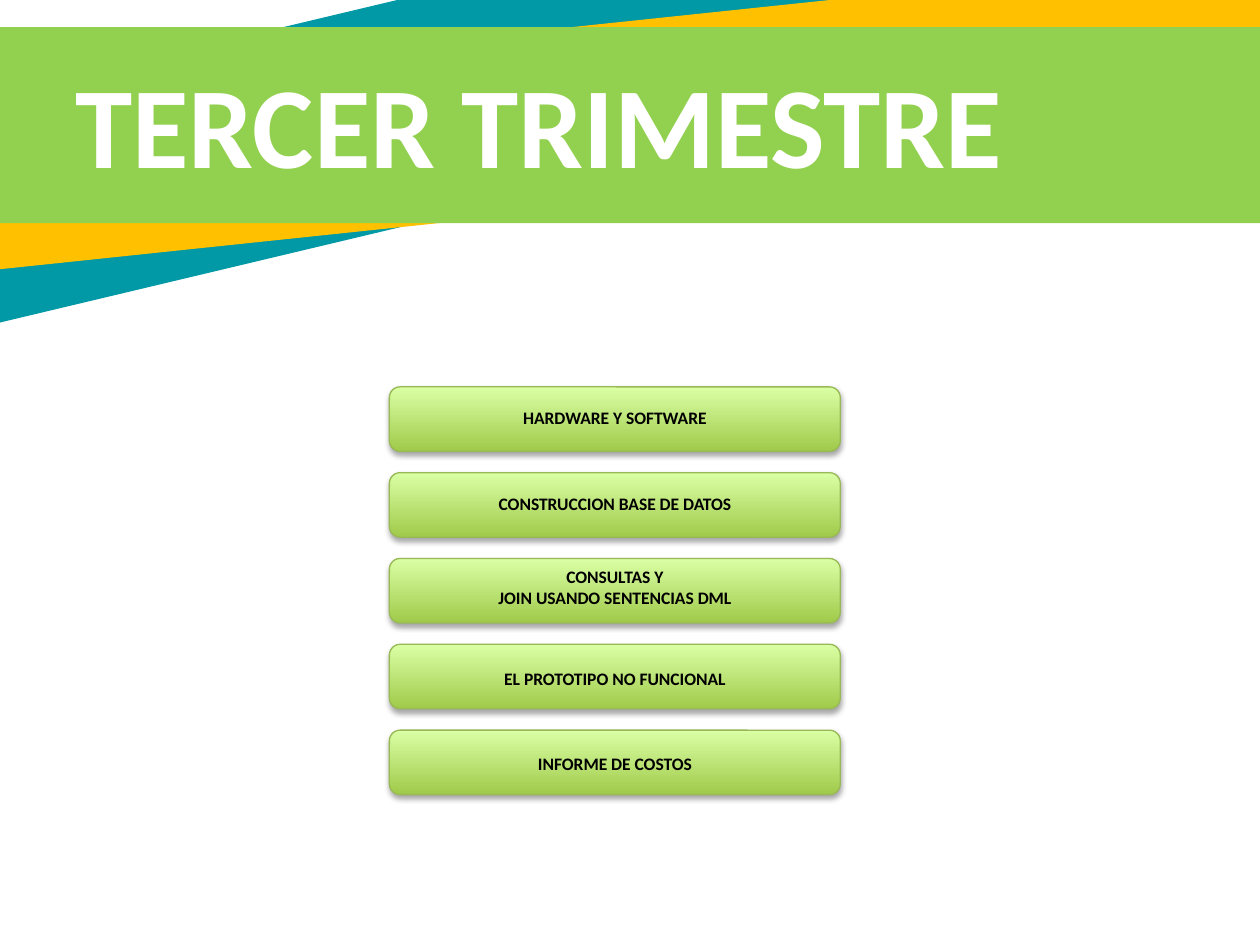
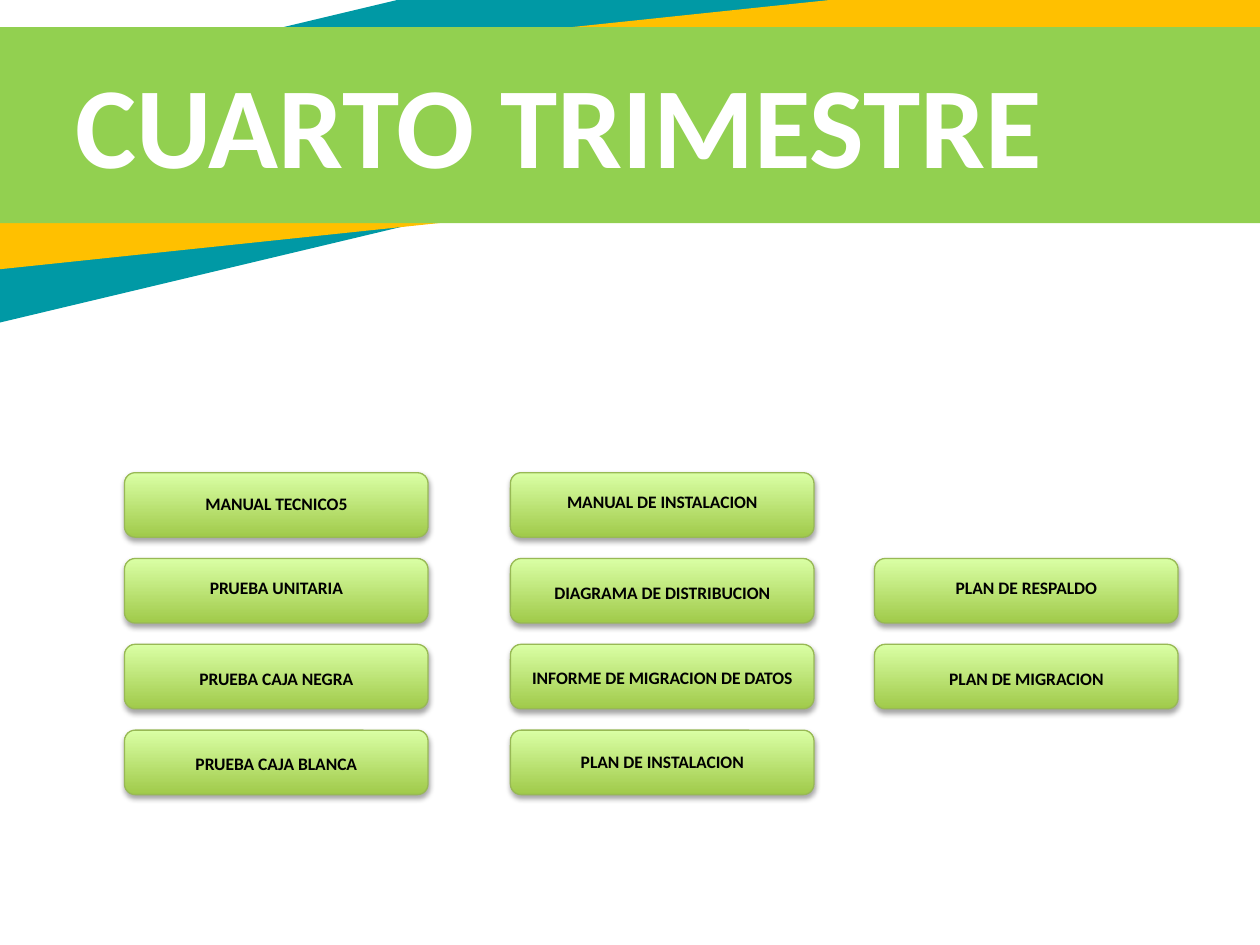
"""Build the two quarterly overview slides."""
import dataclasses
import typing

import lxml.etree
import pptx
import pptx.dml.color
import pptx.enum.shapes
import pptx.enum.text
import pptx.oxml.ns
import pptx.slide
import pptx.util

Cm = pptx.util.Cm
Pt = pptx.util.Pt
SHAPE = pptx.enum.shapes.MSO_SHAPE
ALIGN = pptx.enum.text.PP_ALIGN

FONT = "Calibri"
COLORS = {
    "teal": "0099A5",
    "amber": "FFC000",
    "green": "92D050",
    "button_bottom": "A0CA4A",
    "button_top": "DAFFA5",
    "button_line": "98B955",
    "title": "FFFFFF",
    "label": "000000",
    "shadow": "000000",
}

FIRST_ROW_TOP = 7.8
ROW_PITCH = 1.73
BUTTON_HEIGHT = 1.3
LABEL_HEIGHT = 0.89
WIDE = 9.09
NARROW = 6.12


@dataclasses.dataclass
class Box:
    """A rectangle in centimetres."""

    left: float
    top: float
    width: float
    height: float

    def lengths(self) -> list[pptx.util.Length]:
        """Give left, top, width and height as lengths."""
        return [Cm(v) for v in (self.left, self.top, self.width, self.height)]


@dataclasses.dataclass
class Band:
    """A coloured stripe of the header."""

    color: str
    box: Box
    rotation: float = 0


@dataclasses.dataclass
class Label:
    """A button caption and its drop below the button's top edge."""

    text: str
    drop: float


@dataclasses.dataclass
class Column:
    """Buttons stacked on consecutive rows."""

    left: float
    width: float
    first_row: int
    labels: list[Label]


@dataclasses.dataclass
class Quarter:
    """The contents of one slide."""

    title: str
    columns: list[Column]


BANDS = [
    Band("teal", Box(-6.38, -0.46, 33.17, 4.47), 346.6),
    Band("amber", Box(-2.79, 0.51, 29.54, 3.65), 354),
    Band("green", Box(-2.69, 0.55, 29.54, 3.95)),
]
TITLE_BOX = Box(1.27, 1.24, 20.9, 2.46)

QUARTERS = [
    Quarter("TERCER TRIMESTRE", [
        Column(7.85, WIDE, 0, [
            Label("HARDWARE Y SOFTWARE", 0.18),
            Label("CONSTRUCCION BASE DE DATOS", 0.18),
            Label("CONSULTAS Y\nJOIN USANDO SENTENCIAS DML", 0.13),
            Label("EL PROTOTIPO NO FUNCIONAL", 0.25),
            Label("INFORME DE COSTOS", 0.23),
        ]),
    ]),
    Quarter("CUARTO TRIMESTRE", [
        Column(2.51, NARROW, 1, [
            Label("MANUAL TECNICO5", 0.18),
            Label("PRUEBA UNITARIA", 0.13),
            Label("PRUEBA CAJA NEGRA", 0.25),
            Label("PRUEBA CAJA BLANCA", 0.23),
        ]),
        Column(10.29, NARROW, 1, [
            Label("MANUAL DE INSTALACION", 0.13),
            Label("DIAGRAMA DE DISTRIBUCION", 0.25),
            Label("INFORME DE MIGRACION DE DATOS", 0.23),
            Label("PLAN DE INSTALACION", 0.18),
        ]),
        Column(17.63, NARROW, 2, [
            Label("PLAN DE RESPALDO", 0.13),
            Label("PLAN DE MIGRACION", 0.25),
        ]),
    ]),
]


def rgb(name: str) -> pptx.dml.color.RGBColor:
    """Look up a named colour."""
    return pptx.dml.color.RGBColor.from_string(COLORS[name])


def add_band(slide: pptx.slide.Slide, band: Band) -> None:
    """Draw one header stripe."""
    s = slide.shapes.add_shape(SHAPE.RECTANGLE, *band.box.lengths())
    s.shadow.inherit = False
    s.rotation = band.rotation
    s.fill.solid()
    s.fill.fore_color.rgb = rgb(band.color)
    s.line.fill.background()


def add_text(slide: pptx.slide.Slide, box: Box, text: str, size: float,
             color: str, align: typing.Optional[ALIGN] = None) -> None:
    """Write bold text centred vertically in a box."""
    tf = slide.shapes.add_textbox(*box.lengths()).text_frame
    tf.word_wrap = True
    tf.vertical_anchor = pptx.enum.text.MSO_ANCHOR.MIDDLE
    tf.text = text
    for p in tf.paragraphs:
        p.alignment = align
        for r in p.runs:
            r.font.name = FONT
            r.font.size = Pt(size)
            r.font.bold = True
            r.font.color.rgb = rgb(color)


def add_shadow(s: typing.Any) -> None:
    """Give a shape a soft shadow straight below it."""
    qn = pptx.oxml.ns.qn
    s.shadow.inherit = False
    effects = s.element.spPr.find(qn("a:effectLst"))
    shadow = lxml.etree.SubElement(
        effects, qn("a:outerShdw"), blurRad=str(Pt(3.1)), dist=str(Pt(1.8)),
        dir="5400000", rotWithShape="0")
    color = lxml.etree.SubElement(shadow, qn("a:srgbClr"), val=COLORS["shadow"])
    lxml.etree.SubElement(color, qn("a:alpha"), val="35000")


def add_button(slide: pptx.slide.Slide, box: Box) -> None:
    """Draw a rounded button with a vertical gradient."""
    s = slide.shapes.add_shape(SHAPE.ROUNDED_RECTANGLE, *box.lengths())
    s.fill.gradient()
    s.fill.gradient_angle = 90
    for stop, name in zip(s.fill.gradient_stops, ("button_bottom", "button_top")):
        stop.color.rgb = rgb(name)
    s.line.color.rgb = rgb("button_line")
    s.line.width = Pt(0.75)
    add_shadow(s)


def add_column(slide: pptx.slide.Slide, column: Column) -> None:
    """Draw a column of captioned buttons."""
    for row, label in enumerate(column.labels, column.first_row):
        top = FIRST_ROW_TOP + row * ROW_PITCH
        add_button(slide, Box(column.left, top, column.width, BUTTON_HEIGHT))
        caption = Box(column.left, top + label.drop, column.width, LABEL_HEIGHT)
        add_text(slide, caption, label.text, 10, "label", ALIGN.CENTER)


def add_quarter(prs: typing.Any, quarter: Quarter) -> None:
    """Add the slide of one quarter."""
    slide = prs.slides.add_slide(prs.slide_layouts[6])
    for band in BANDS:
        add_band(slide, band)
    add_text(slide, TITLE_BOX, quarter.title, 66, "title")
    for column in quarter.columns:
        add_column(slide, column)


def main() -> None:
    """Build and save the presentation."""
    prs = pptx.Presentation()
    prs.slide_width = Cm(25.4)
    prs.slide_height = Cm(19.05)
    for quarter in QUARTERS:
        add_quarter(prs, quarter)
    prs.save("out.pptx")


main()
